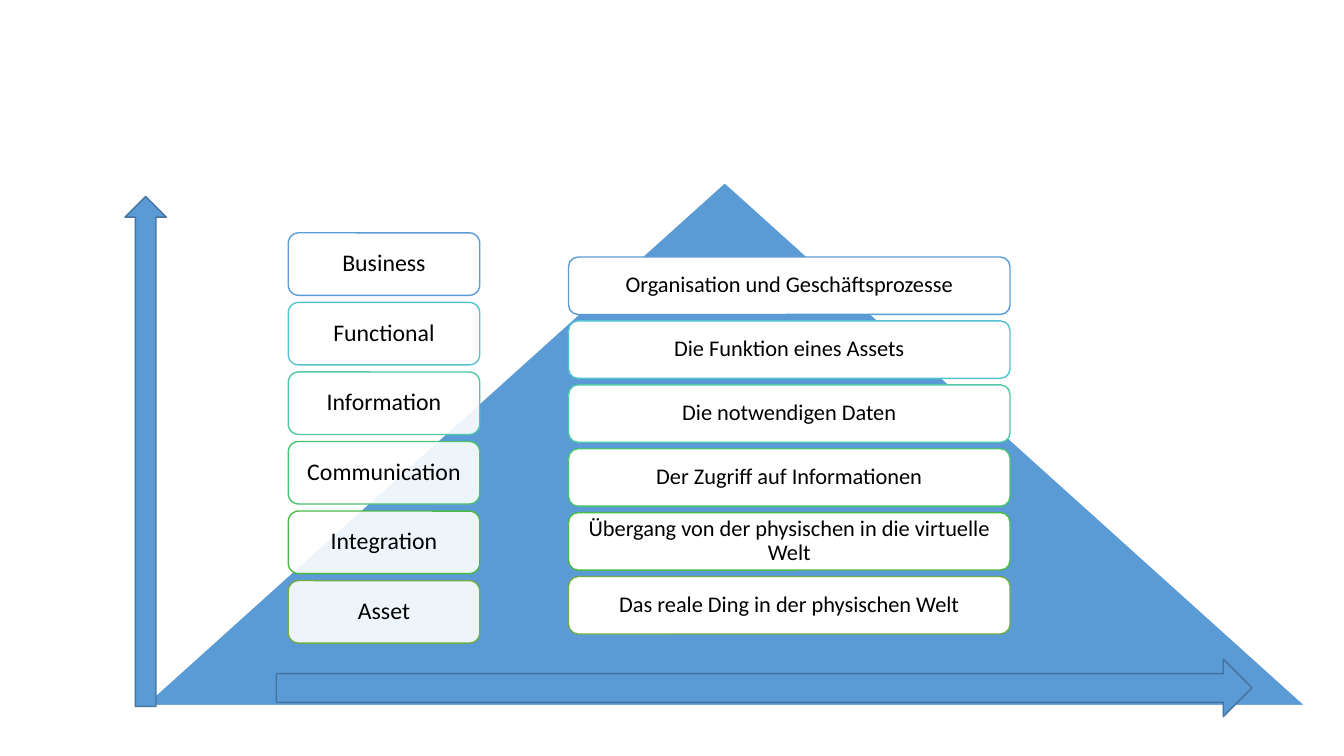
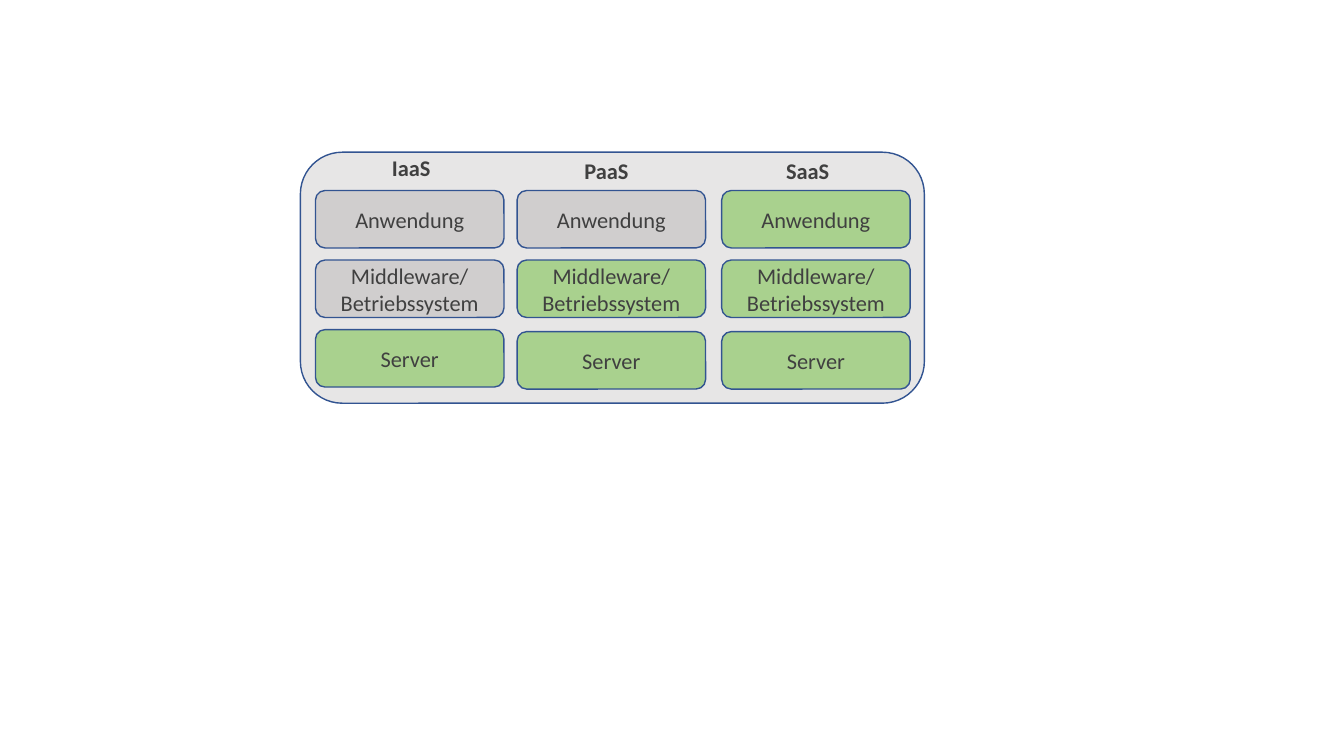
from dataclasses import dataclass

from lxml import etree
from pptx import Presentation
from pptx.dml.color import RGBColor
from pptx.enum.shapes import MSO_SHAPE
from pptx.enum.text import MSO_ANCHOR, PP_ALIGN
from pptx.oxml.ns import qn
from pptx.util import Inches, Pt

TRIANGLE = MSO_SHAPE.ISOSCELES_TRIANGLE
ROUNDED = MSO_SHAPE.ROUNDED_RECTANGLE
UP_ARROW = MSO_SHAPE.UP_ARROW
RIGHT_ARROW = MSO_SHAPE.RIGHT_ARROW
CENTER, LEFT = PP_ALIGN.CENTER, PP_ALIGN.LEFT
MIDDLE, TOP = MSO_ANCHOR.MIDDLE, MSO_ANCHOR.TOP

# Grid: square cells of a tenth of an inch
CELL = Inches(0.1)
COLUMNS, ROWS = 133.33, 75
BLANK_LAYOUT = 6


@dataclass(frozen=True)
class Theme:
    font: str = "Calibri"
    white: str = "FFFFFF"
    black: str = "000000"
    blue: str = "5B9BD5"
    arrow_edge: str = "43739E"
    # Layer outlines run from blue to green
    layers: tuple = ("5B9BD5", "55C3CF", "50C8A7", "4BC174", "4ABA46", "70AD47")
    panel: str = "E7E6E6"
    customer: str = "D0CECE"
    provider: str = "A9D18E"
    service_edge: str = "325491"
    service_text: str = "404040"
    layer_size: int = 17
    body_size: int = 16
    line_width: int = 1


THEME = Theme()


def grid(*cells):
    return [round(cell * CELL) for cell in cells]


def write(frame, text, *, size=THEME.body_size, color=THEME.black, bold=False,
          align=CENTER, anchor=MIDDLE, spacing=1, side=1, end=0.5):
    """Fill a text frame; each line of the text becomes a paragraph."""
    frame.word_wrap = True
    frame.vertical_anchor = anchor
    frame.margin_left = frame.margin_right = round(side * CELL)
    frame.margin_top = frame.margin_bottom = round(end * CELL)
    for index, line in enumerate(text.split("\n")):
        para = frame.add_paragraph() if index else frame.paragraphs[0]
        para.alignment = align
        para.line_spacing = spacing
        span = para.add_run()
        span.text = line
        span.font.name = THEME.font
        span.font.size = Pt(size)
        span.font.bold = bold
        span.font.color.rgb = RGBColor.from_string(color)


class Builder:
    """Holds the deck, its theme and the current page."""

    def __init__(self, theme):
        self.theme = theme
        self.deck = Presentation()
        self.deck.slide_width, self.deck.slide_height = grid(COLUMNS, ROWS)
        self.page = None

    def new_page(self):
        layout = self.deck.slide_layouts[BLANK_LAYOUT]
        self.page = self.deck.slides.add_slide(layout)

    def shape(self, kind, area, fill, edge, opacity=100):
        shape = self.page.shapes.add_shape(kind, *grid(*area))
        shape.shadow.inherit = False
        shape.fill.solid()
        shape.fill.fore_color.rgb = RGBColor.from_string(fill)
        shape.line.color.rgb = RGBColor.from_string(edge)
        shape.line.width = Pt(self.theme.line_width)
        if opacity < 100:
            color = shape.fill._xPr.find(qn("a:solidFill"))[0]
            etree.SubElement(color, qn("a:alpha"), val=str(opacity * 1000))
        return shape

    def box(self, area, text, fill, edge, opacity=100, **style):
        box = self.shape(ROUNDED, area, fill, edge, opacity)
        write(box.text_frame, text, **style)

    def label(self, area, text, **style):
        label = self.page.shapes.add_textbox(*grid(*area))
        write(label.text_frame, text, **style)

    def layer_stack(self, names, left, width, height, first, last, **style):
        """Stack one outlined box per layer between two top edges."""
        pitch = (last - first) / (len(names) - 1)
        for index, (name, edge) in enumerate(zip(names, self.theme.layers)):
            area = (left, first + index * pitch, width, height)
            self.box(area, name, self.theme.white, edge, spacing=0.9, **style)


LAYER_NAMES = ("Business", "Functional", "Information", "Communication",
               "Integration", "Asset")
LAYER_MEANINGS = (
    "Organisation und Geschäftsprozesse",
    "Die Funktion eines Assets",
    "Die notwendigen Daten",
    "Der Zugriff auf Informationen",
    "Übergang von der physischen in die virtuelle Welt",
    "Das reale Ding in der physischen Welt",
)
SERVICE_LAYERS = ("Anwendung", "Middleware/\nBetriebssystem", "Server")
# Name, box left, label left, label top, server top, layers run by the customer
SERVICES = (
    ("IaaS", 31.3, 37.9, 14.8, 32.7, 2),
    ("PaaS", 51.3, 57, 15.1, 32.9, 1),
    ("SaaS", 71.6, 77, 15.1, 32.9, 0),
)


def build_layers(builder):
    theme = builder.theme
    builder.new_page()
    builder.shape(TRIANGLE, (14.3, 18.1, 115.2, 51.9), theme.blue, theme.white)
    # Layer names and their meanings
    builder.layer_stack(LAYER_NAMES, 28.6, 19, 6.2, 23.1, 57.6,
                        opacity=90, size=theme.layer_size, side=0.7)
    builder.layer_stack(LAYER_MEANINGS, 56.4, 43.8, 5.7, 25.5, 57.2, side=1.1)
    # Axes
    for kind, area in ((UP_ARROW, (12.4, 19.5, 4.1, 50.6)),
                       (RIGHT_ARROW, (27.4, 65.4, 96.8, 5.7))):
        builder.shape(kind, area, theme.blue, theme.arrow_edge)


def build_services(builder):
    theme = builder.theme
    builder.new_page()
    builder.shape(ROUNDED, (29.8, 15.1, 61.9, 24.9), theme.panel,
                  theme.service_edge)
    for name, left, label_left, label_top, server_top, customer in SERVICES:
        # Boxes of one service model
        tops = (18.9, 25.8, server_top)
        for index, (text, top) in enumerate(zip(SERVICE_LAYERS, tops)):
            fill = theme.customer if index < customer else theme.provider
            builder.box((left, top, 18.7, 5.7), text, fill,
                        theme.service_edge, color=theme.service_text)
        # Heading
        builder.label((label_left, label_top, 12, 3.7), name, bold=True,
                      color=theme.service_text, align=LEFT, anchor=TOP)


def main():
    builder = Builder(THEME)
    build_layers(builder)
    build_services(builder)
    builder.deck.save("out.pptx")


if __name__ == "__main__":
    main()
